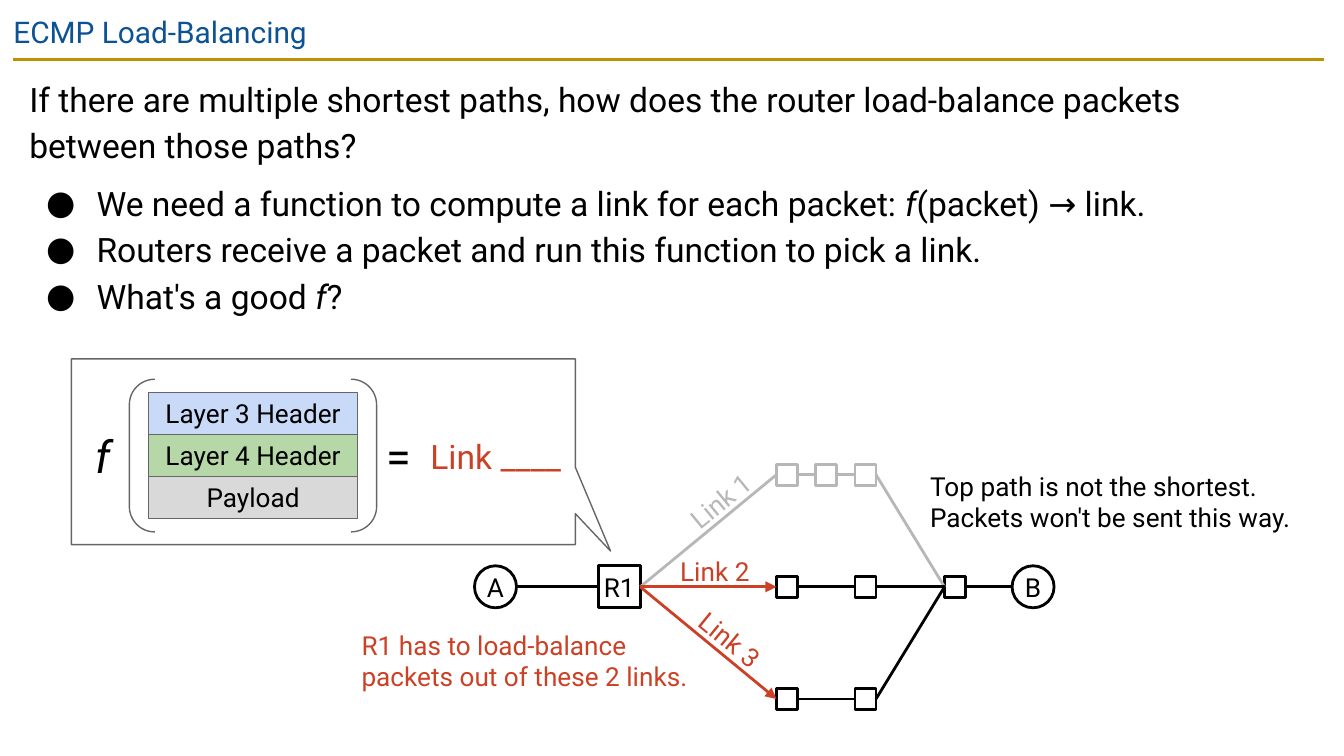
from lxml import etree
from pptx import Presentation
from pptx.dml.color import RGBColor
from pptx.enum.shapes import MSO_CONNECTOR, MSO_SHAPE
from pptx.enum.text import MSO_ANCHOR, MSO_AUTO_SIZE, PP_ALIGN
from pptx.oxml.ns import qn
from pptx.util import Pt

RECTANGLE = MSO_SHAPE.RECTANGLE
OVAL = MSO_SHAPE.OVAL
CALLOUT = MSO_SHAPE.ROUNDED_RECTANGULAR_CALLOUT
BRACKETS = MSO_SHAPE.DOUBLE_BRACKET
STRAIGHT = MSO_CONNECTOR.STRAIGHT
TOP, MIDDLE = MSO_ANCHOR.TOP, MSO_ANCHOR.MIDDLE
LEFT, CENTER = PP_ALIGN.LEFT, PP_ALIGN.CENTER
NO_FIT = MSO_AUTO_SIZE.NONE
LEFT_SITE, RIGHT_SITE = 1, 3

COLORS = {
    "black": "000000", "white": "FFFFFF", "title": "0B5394", "rule": "BF9000",
    "outline": "666666", "unused": "B7B7B7", "active": "CC4125",
    "layer3": "C9DAF8", "layer4": "B6D7A8", "payload": "D9D9D9",
}


class SlideBuilder:
    font = "Roboto"
    inset = 7.2

    def __init__(self, page):
        self.page = page

    def color(self, name):
        return RGBColor.from_string(COLORS[name])

    def place(self, shape, left, top, width, height):
        shape.left, shape.top = Pt(left), Pt(top)
        shape.width, shape.height = Pt(width), Pt(height)

    def frame(self, shape, inset=0, anchor=TOP):
        frame = shape.text_frame
        frame.word_wrap = True
        frame.auto_size = NO_FIT
        frame.vertical_anchor = anchor
        frame.margin_left = frame.margin_right = Pt(inset)
        frame.margin_top = frame.margin_bottom = Pt(inset)
        return frame

    def style(self, span, size, color, italic=False):
        span.font.name = self.font
        span.font.size = Pt(size)
        span.font.italic = italic
        span.font.color.rgb = self.color(color)

    def set_text(self, shape, text, size, color, align=LEFT, anchor=TOP, inset=0, italic=False):
        frame = self.frame(shape, inset, anchor)
        frame.text = text
        para = frame.paragraphs[0]
        para.alignment = align
        self.style(para.runs[0], size, color, italic)

    def title(self, text, *area):
        box = self.page.shapes.title
        self.place(box, *area)
        self.set_text(box, text, 16, "title", inset=self.inset)

    def body(self, intro, bullets, *area):
        box = self.page.placeholders[1]
        self.place(box, *area)
        frame = self.frame(box, self.inset)
        for index, text in enumerate([intro] + bullets):
            para = frame.add_paragraph() if index else frame.paragraphs[0]
            para.line_spacing = 1.15
            para.space_before = Pt(6 if index == 1 else 0)
            self.bullet(para, index > 0)
            for position, piece in enumerate(text.split("*")):
                span = para.add_run()
                span.text = piece
                self.style(span, 18, "black", italic=position % 2 == 1)

    def bullet(self, para, shown):
        props = para._p.get_or_add_pPr()
        props.set("marL", str(Pt(36 if shown else 0)))
        props.set("indent", str(Pt(-27 if shown else 0)))
        if shown:
            tint = etree.SubElement(props, qn("a:buClr"))
            etree.SubElement(tint, qn("a:srgbClr"), val=COLORS["black"])
            etree.SubElement(props, qn("a:buFont"), typeface=self.font)
            etree.SubElement(props, qn("a:buChar"), char="●")
        else:
            etree.SubElement(props, qn("a:buNone"))

    def label(self, text, left, top, width, height, size=14, color="black",
              rotation=0, inset=0, italic=False):
        box = self.page.shapes.add_textbox(Pt(left), Pt(top), Pt(width), Pt(height))
        box.rotation = rotation
        self.set_text(box, text, size, color, inset=inset, italic=italic)

    def shape(self, kind, left, top, width, height, line="black", weight=1.5,
              fill=None, text=None):
        shape = self.page.shapes.add_shape(kind, Pt(left), Pt(top), Pt(width), Pt(height))
        shape.shadow.inherit = False
        shape.line.color.rgb = self.color(line)
        shape.line.width = Pt(weight)
        if fill:
            shape.fill.solid()
            shape.fill.fore_color.rgb = self.color(fill)
        else:
            shape.fill.background()
        if text:
            self.set_text(shape, text, 14, "black", CENTER, MIDDLE)
        return shape

    def node(self, kind, left, middle, size, line="black", text=None):
        return self.shape(kind, left, middle - size / 2, size, size, line, fill="white", text=text)

    def line(self, x1, y1, x2, y2, color, arrow=False):
        line = self.page.shapes.add_connector(STRAIGHT, x1, y1, x2, y2)
        line.line.color.rgb = self.color(color)
        line.line.width = Pt(1.5)
        props = line.element.spPr
        if arrow:
            etree.SubElement(props.find(qn("a:ln")), qn("a:tailEnd"), type="triangle")
        etree.SubElement(props, qn("a:effectLst"))
        return line

    def link(self, start, end, color="black", arrow=False):
        line = self.line(start.left + start.width, start.top + start.height // 2,
                         end.left, end.top + end.height // 2, color, arrow)
        if start.auto_shape_type == RECTANGLE:
            line.begin_connect(start, RIGHT_SITE)
        if end.auto_shape_type == RECTANGLE:
            line.end_connect(end, LEFT_SITE)


def main():
    deck = Presentation()
    deck.slide_width, deck.slide_height = Pt(720), Pt(405)
    build = SlideBuilder(deck.slides.add_slide(deck.slide_layouts[1]))

    build.line(Pt(7.2), Pt(31.8), Pt(709.2), Pt(31.8), "rule")
    build.title("ECMP Load-Balancing", 0, 0, 720, 31)
    build.body(
        "If there are multiple shortest paths, how does the router load-balance "
        "packets between those paths?",
        ["We need a function to compute a link for each packet: *f*(packet) → link.",
         "Routers receive a packet and run this function to pick a link.",
         "What's a good *f*?"],
        8.5, 31.8, 701.5, 158.4)

    callout = build.shape(CALLOUT, 38.2, 192.3, 270, 99.5, "outline", 0.75)
    for index, value in enumerate((0.57, 0.535, 0)):
        callout.adjustments[index] = value
    layers = [("Layer 3 Header", "layer3"), ("Layer 4 Header", "layer4"), ("Payload", "payload")]
    for index, (name, fill) in enumerate(layers):
        build.shape(RECTANGLE, 79.6, 210.2 + 22.5 * index, 112, 22.5, "outline", 0.75, fill, name)
    build.shape(BRACKETS, 69.3, 203.2, 132.5, 81.8, "outline", 0.75)
    build.label("f", 43.9, 222.5, 25.2, 43.9, 24, inset=build.inset, italic=True)
    build.label("=", 206.8, 229.8, 15, 28.8, 24)
    build.label("Link ____", 230.6, 233.4, 73.5, 21.6, 18, "active")

    middle, row_gap = 314.4, 60.1
    host_size, hop_size, hop_left, hop_gap = 22.5, 11.3, 416, 21
    host_a = build.node(OVAL, 254.2, middle, host_size, text="A")
    router = build.node(RECTANGLE, 320.5, middle, host_size, text="R1")
    merge = build.node(RECTANGLE, 506, middle, hop_size)
    host_b = build.node(OVAL, 542.2, middle, host_size, text="B")
    build.link(host_a, router)
    build.link(merge, host_b)

    routes = [(-1, (0, 1, 2), "unused", "unused"),
              (0, (0, 2), "black", "active"),
              (1, (0, 2), "black", "active")]
    for row, columns, color, first_color in routes:
        hops = [build.node(RECTANGLE, hop_left + hop_gap * column, middle + row_gap * row,
                           hop_size, color) for column in columns]
        build.link(router, hops[0], first_color, arrow=first_color == "active")
        for start, end in zip(hops, hops[1:] + [merge]):
            build.link(start, end, color)

    build.label("Link 1", 367.2, 259.3, 39, 17, color="unused", rotation=-39.4)
    build.label("Link 2", 364.4, 297.5, 39, 17, color="active")
    build.label("Link 3", 372.2, 334.9, 39, 17, color="active", rotation=39.2)
    build.label("Top path is not the shortest. Packets won't be sent this way.",
                498.3, 252, 194, 34)
    build.label("R1 has to load-balance packets out of these 2 links.",
                193.7, 337.2, 178, 34, color="active")

    deck.save("out.pptx")


if __name__ == "__main__":
    main()
